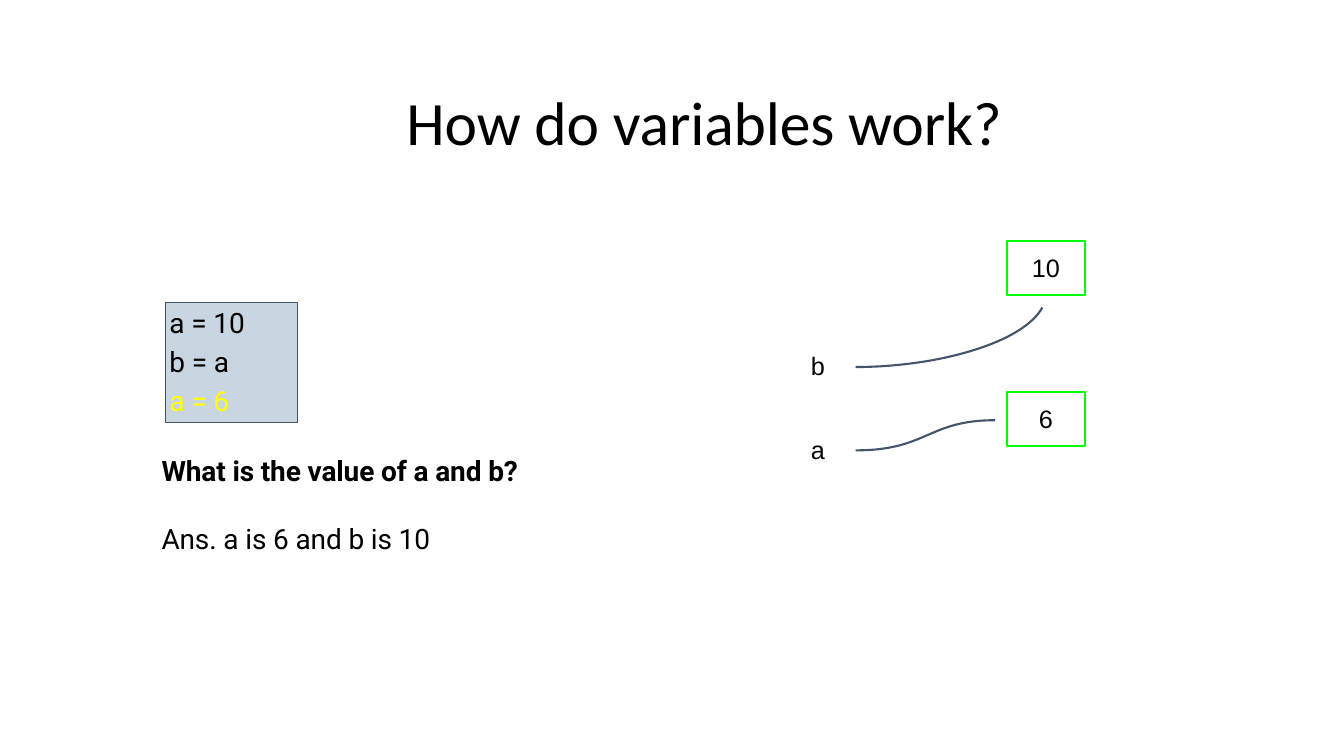
from lxml import etree
from pptx import Presentation
from pptx.dml.color import RGBColor
from pptx.enum.shapes import MSO_SHAPE as Shape
from pptx.enum.text import MSO_ANCHOR as Anchor, PP_ALIGN as Align
from pptx.oxml.ns import qn
from pptx.util import Cm, Pt

COLORS = {
    "text": "000000",
    "highlight": "FFFF00",
    "value": "00FF00",
    "outline": "445469",
    "code": "0B4679",
}


def color(name):
    return RGBColor.from_string(COLORS[name])


def write(paragraph, text, size=20, font="Roboto", ink="text", bold=False,
          tracking=-0.1, before=1, line=None, align=Align.LEFT):
    paragraph.alignment = align
    paragraph.space_before = Pt(before)
    if line:
        paragraph.line_spacing = line
    run = paragraph.add_run()
    run.text = text
    run.font.size = Pt(size)
    run.font.name = font
    run.font.bold = bold
    run.font.color.rgb = color(ink)
    run.font._element.set("spc", str(round(tracking * 100)))


def bezier(start, control1, control2, end, steps=32):
    """Points along a cubic curve."""
    points = []
    for step in range(steps + 1):
        t = step / steps
        weights = ((1 - t) ** 3, 3 * t * (1 - t) ** 2, 3 * t ** 2 * (1 - t), t ** 3)
        points.append(tuple(
            sum(weight * value for weight, value in zip(weights, axis))
            for axis in zip(start, control1, control2, end)))
    return points


class SlideBuilder:
    def __init__(self, slide):
        self.slide = slide

    def frame(self, shape, left=0.03, top=0.03):
        frame = shape.text_frame
        frame.word_wrap = True
        frame.vertical_anchor = Anchor.TOP
        frame.margin_left, frame.margin_top = Cm(left), Cm(top)
        frame.margin_right = frame.margin_bottom = 0
        return frame

    def text(self, text, left, top, width, height, **style):
        shape = self.slide.shapes.add_textbox(Cm(left), Cm(top), Cm(width), Cm(height))
        write(self.frame(shape).paragraphs[0], text, **style)

    def box(self, left, top, width, height, line, weight):
        shape = self.slide.shapes.add_shape(
            Shape.RECTANGLE, Cm(left), Cm(top), Cm(width), Cm(height))
        shape.shadow.inherit = False
        shape.fill.background()
        shape.line.color.rgb = color(line)
        shape.line.width = Pt(weight)
        return shape

    def value(self, text, left, top):
        shape = self.box(left, top, 1.96, 1.37, "value", 1.5)
        write(self.frame(shape, left=0, top=0.28).paragraphs[0], text, size=18,
              font="Arial", before=7.9, align=Align.CENTER)

    def code(self, lines, left, top, width, height):
        shape = self.box(left, top, width, height, "outline", 0.75)
        shape.fill.solid()
        shape.fill.fore_color.rgb = color("code")
        fill = shape._element.spPr.find(qn("a:solidFill"))
        etree.SubElement(fill[0], qn("a:alpha"), val="22000")
        frame = self.frame(shape, left=0.1, top=0.08)
        for index, (text, ink) in enumerate(lines):
            paragraph = frame.add_paragraph() if index else frame.paragraphs[0]
            write(paragraph, text, ink=ink, before=0 if index else 2.2,
                  line=1.16 if index else None)

    def curve(self, *anchors):
        points = [(Cm(x), Cm(y)) for x, y in bezier(*anchors)]
        builder = self.slide.shapes.build_freeform(*points[0])
        builder.add_line_segments(points[1:], close=False)
        shape = builder.convert_to_shape()
        shape.shadow.inherit = False
        shape.fill.background()
        shape.line.color.rgb = color("outline")
        shape.line.width = Pt(1.5)


def main():
    presentation = Presentation()
    presentation.slide_width, presentation.slide_height = Cm(33.86), Cm(19.05)
    slide = presentation.slides.add_slide(presentation.slide_layouts[6])
    builder = SlideBuilder(slide)

    # Title
    builder.text("How do variables work?", 10.21, 2.08, 15.82, 1.9,
                 size=44, font="Calibri")

    # Code listing
    builder.code([("a = 10", "text"), ("b = a", "text"), ("a = 6", "highlight")],
                 4.17, 7.62, 3.33, 3.02)

    # Variables and the values they point to
    for name, label_top, value, value_top in (("b", 8.81, "10", 6.07),
                                              ("a", 10.92, "6", 9.88)):
        builder.text(name, 20.4, label_top, 0.43, 0.84,
                     size=18, font="Arial", tracking=0)
        builder.value(value, 25.37, value_top)
    builder.curve((21.56, 9.25), (23.62, 9.25), (25.78, 8.64), (26.26, 7.75))
    builder.curve((21.56, 11.35), (23.37, 11.35), (23.37, 10.59), (25.07, 10.59))

    # Question and answer
    builder.text("What is the value of a and b?", 4.04, 11.4, 9.73, 0.91, bold=True)
    builder.text("Ans. a is 6 and b is 10", 4.04, 13.11, 7.59, 0.91)

    presentation.save("out.pptx")


if __name__ == "__main__":
    main()
